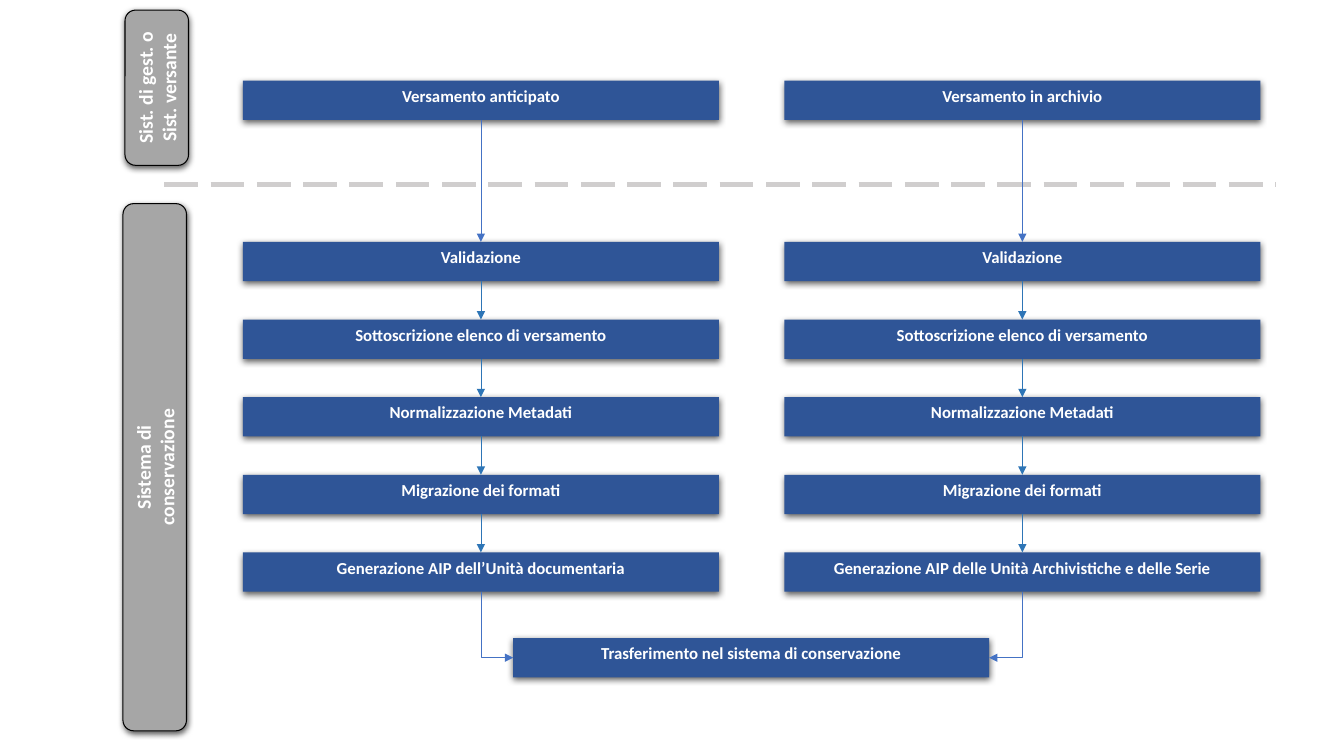
from lxml.etree import SubElement
from pptx import Presentation
from pptx.dml.color import RGBColor
from pptx.enum.dml import MSO_LINE_DASH_STYLE as Dash
from pptx.enum.shapes import MSO_CONNECTOR as Link, MSO_SHAPE as Shape
from pptx.enum.text import MSO_ANCHOR as Anchor, PP_ALIGN as Align
from pptx.oxml.ns import qn
from pptx.util import Inches, Pt

STEP_WIDTH, STEP_HEIGHT, STEP_PITCH = 4.72, 0.39, 0.77
START_TOP, FIRST_STEP_TOP = 0.8, 2.4
FINAL_LEFT, FINAL_TOP = 5.09, 6.33
DEEP_BLUE, MID_BLUE, LIGHT_BLUE = "2F5597", "2E75B6", "4472C4"
SHARED_STEPS = [
    "Validazione",
    "Sottoscrizione elenco di versamento",
    "Normalizzazione Metadati",
    "Migrazione dei formati",
]
FLOWS = [
    (2.41, "Versamento anticipato", "Generazione AIP dell’Unità documentaria"),
    (7.78, "Versamento in archivio",
     "Generazione AIP delle Unità Archivistiche e delle Serie"),
]
LANES = [
    (1.24, 0.1, 0.63, 1.54, ["Sist. di gest. o Sist. versante"]),
    (1.22, 2.02, 0.63, 5.23, ["Sistema di", "conservazione"]),
]


def colour(value):
    return RGBColor.from_string(value)


def add_shadow(shape):
    shape.shadow.inherit = False
    effects = shape._element.spPr.find(qn("a:effectLst"))
    shadow = SubElement(effects, qn("a:outerShdw"), blurRad=str(Pt(4.5)),
                        dist=str(Pt(1.5)), dir="5400000", rotWithShape="0")
    black = SubElement(shadow, qn("a:srgbClr"), val="000000")
    SubElement(black, qn("a:alpha"), val="63000")


def add_box(page, kind, left, top, width, height, fill, lines, size, anchor):
    box = page.shapes.add_shape(kind, Inches(left), Inches(top),
                                Inches(width), Inches(height))
    add_shadow(box)
    box.fill.solid()
    box.fill.fore_color.rgb = colour(fill)
    box.line.fill.background()
    frame = box.text_frame
    frame.word_wrap = True
    frame.vertical_anchor = anchor
    for index, line in enumerate(lines):
        para = frame.add_paragraph() if index else frame.paragraphs[0]
        para.alignment = Align.CENTER
        span = para.add_run()
        span.text = line
        span.font.name = "Calibri"
        span.font.size = Pt(size)
        span.font.bold = True
        span.font.color.rgb = colour("FFFFFF")
    return box


def add_step(page, left, top, text):
    return add_box(page, Shape.RECTANGLE, left, top, STEP_WIDTH, STEP_HEIGHT,
                   DEEP_BLUE, [text], 12, Anchor.TOP)


def add_lane_label(page, left, top, width, height, lines):
    shift = (height - width) / 2
    label = add_box(page, Shape.ROUNDED_RECTANGLE, left - shift, top + shift,
                    height, width, "A6A6A6", lines, 14, Anchor.MIDDLE)
    label.rotation = 270
    label.line.color.rgb = colour("000000")
    label.line.width = Pt(0.75)


def add_line(page, kind, ends, shade, weight, arrow=True):
    line = page.shapes.add_connector(kind, *ends)
    line.line.color.rgb = colour(shade)
    line.line.width = Pt(weight)
    if arrow:
        SubElement(line.line._get_or_add_ln(), qn("a:tailEnd"), type="triangle")
    SubElement(line._element.spPr, qn("a:effectLst"))
    return line


def add_arrow(page, upper, lower, shade):
    arrow = add_line(page, Link.STRAIGHT, (0, 0, 0, 0), shade, 0.5)
    arrow.begin_connect(upper, 2)
    arrow.end_connect(lower, 0)


def add_corner_arrow(page, step, final):
    start_x, start_y = step.left + step.width // 2, step.top + step.height
    from_left = start_x < final.left
    end_x = final.left if from_left else final.left + final.width
    end_y = final.top + final.height // 2
    drop, reach = end_y - start_y, abs(end_x - start_x)
    left = (start_x + end_x - drop) // 2
    top = (start_y + end_y - reach) // 2
    near, far = (left + drop, left) if from_left else (left, left + drop)
    arrow = add_line(page, Link.ELBOW, (near, top, far, top + reach), LIGHT_BLUE, 0.5)
    properties = arrow._element.spPr
    properties.find(qn("a:xfrm")).set("rot", "16200000" if from_left else "5400000")
    properties.find(qn("a:prstGeom")).set("prst", "bentConnector2")


def add_flow(page, left, start_text, last_text):
    start = add_step(page, left, START_TOP, start_text)
    steps = [add_step(page, left, FIRST_STEP_TOP + row * STEP_PITCH, text)
             for row, text in enumerate(SHARED_STEPS + [last_text])]
    add_arrow(page, start, steps[0], LIGHT_BLUE)
    for upper, lower in zip(steps, steps[1:]):
        add_arrow(page, upper, lower, MID_BLUE)
    return steps[-1]


def add_divider(page, left, right, top):
    ends = (Inches(left), Inches(top), Inches(right), Inches(top))
    divider = add_line(page, Link.STRAIGHT, ends, "D0CECE", 3, arrow=False)
    divider.line.dash_style = Dash.LONG_DASH


def main():
    deck = Presentation()
    deck.slide_width, deck.slide_height = Inches(13.33), Inches(7.5)
    page = deck.slides.add_slide(deck.slide_layouts[6])
    add_divider(page, 1.63, 12.66, 1.83)
    last_steps = [add_flow(page, *flow) for flow in FLOWS]
    final = add_step(page, FINAL_LEFT, FINAL_TOP,
                     "Trasferimento nel sistema di conservazione")
    for step in last_steps:
        add_corner_arrow(page, step, final)
    for lane in LANES:
        add_lane_label(page, *lane)
    deck.save("out.pptx")


if __name__ == "__main__":
    main()
